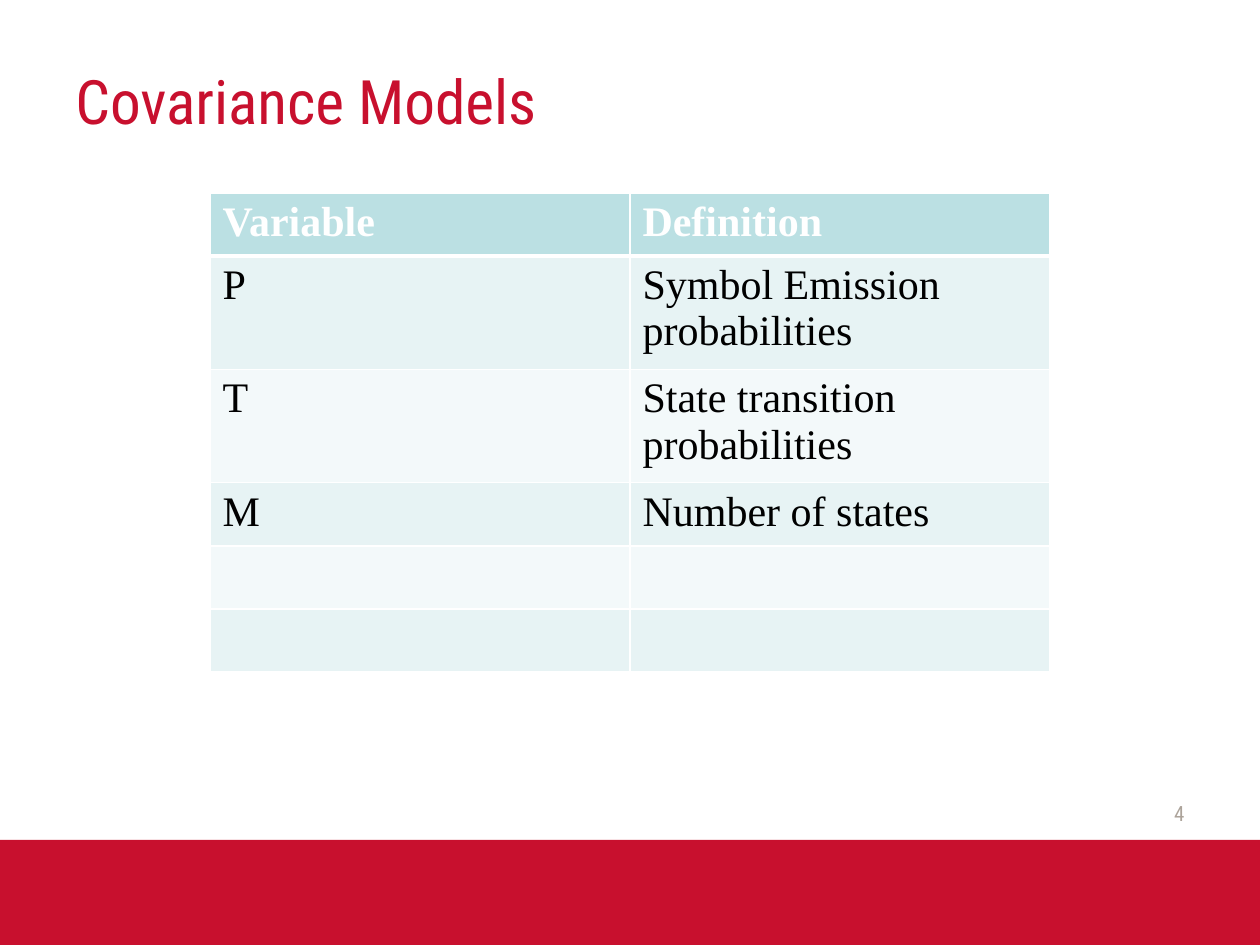
from pptx import Presentation
from pptx.dml.color import RGBColor
from pptx.enum.shapes import MSO_SHAPE
from pptx.enum.text import MSO_ANCHOR, PP_ALIGN
from pptx.oxml.ns import qn
from pptx.util import Inches, Pt
from lxml.etree import SubElement

WIDTH, HEIGHT = Inches(10), Inches(7.5)
RED = RGBColor(0xC8, 0x10, 0x2E)
GREY = RGBColor(0xAC, 0xA3, 0x9A)
WHITE = RGBColor(0xFF, 0xFF, 0xFF)
BLACK = RGBColor(0, 0, 0)
HEADER_FILL = RGBColor(0xBB, 0xE0, 0xE3)
BANDS = [RGBColor(0xF3, 0xF9, 0xFA), RGBColor(0xE7, 0xF3, 0xF4)]
HEADING_FONT = "Roboto Condensed"
TABLE_FONT = "Times New Roman"

ROWS = [
    ("Variable", "Definition"),
    ("P", "Symbol Emission probabilities"),
    ("T", "State transition probabilities"),
    ("M", "Number of states"),
    ("", ""),
    ("", ""),
]
ROW_HEIGHTS = [0.46, 0.84, 0.84, 0.47, 0.49, 0.49]


def style(p, name, size, color, bold=False):
    p.font.name = name
    p.font.size = Pt(size)
    p.font.color.rgb = color
    p.font.bold = bold


def add_footer_band(slide):
    top = HEIGHT * 8 // 9
    sp = slide.shapes.add_shape(MSO_SHAPE.RECTANGLE, 0, top, WIDTH, HEIGHT - top)
    sp.shadow.inherit = False
    sp.fill.solid()
    sp.fill.fore_color.rgb = RED
    sp.line.fill.background()


def add_text(slide, text, box, size, color, align=PP_ALIGN.LEFT):
    tf = slide.shapes.add_textbox(*map(Inches, box)).text_frame
    tf.word_wrap = True
    tf.vertical_anchor = MSO_ANCHOR.MIDDLE
    p = tf.paragraphs[0]
    p.text = text
    p.alignment = align
    style(p, HEADING_FONT, size, color)


def set_borders(cell, widths):
    tcPr = cell._tc.get_or_add_tcPr()
    for side, width in zip("LRTB", widths):
        ln = SubElement(tcPr, qn(f"a:ln{side}"), w=str(Pt(width)))
        fill = SubElement(ln, qn("a:solidFill"))
        SubElement(fill, qn("a:srgbClr"), val=str(WHITE))


def fill_cell(cell, text, row):
    header = row == 0
    set_borders(cell, (1, 1, 3 if row == 1 else 1, 3 if header else 1))
    cell.fill.solid()
    cell.fill.fore_color.rgb = HEADER_FILL if header else BANDS[row % 2]
    p = cell.text_frame.paragraphs[0]
    if text:
        p.text = text
    style(p, TABLE_FONT, 24, WHITE if header else BLACK, header)


def add_variable_table(slide):
    frame = slide.shapes.add_table(
        len(ROWS), 2, WIDTH // 6, Inches(1.53),
        WIDTH * 2 // 3, Inches(sum(ROW_HEIGHTS)))
    table = frame.table
    for i, (texts, height) in enumerate(zip(ROWS, ROW_HEIGHTS)):
        table.rows[i].height = Inches(height)
        for j, text in enumerate(texts):
            fill_cell(table.cell(i, j), text, i)


def main():
    prs = Presentation()
    prs.slide_width, prs.slide_height = WIDTH, HEIGHT
    slide = prs.slides.add_slide(prs.slide_layouts[6])
    add_footer_band(slide)
    add_text(slide, "Covariance Models", (0.5, 0.17, 8.5, 1.25), 35, RED)
    add_text(slide, "4", (7.17, 6.25, 2.33, 0.4), 12, GREY, PP_ALIGN.RIGHT)
    add_variable_table(slide)
    prs.save("out.pptx")


main()
